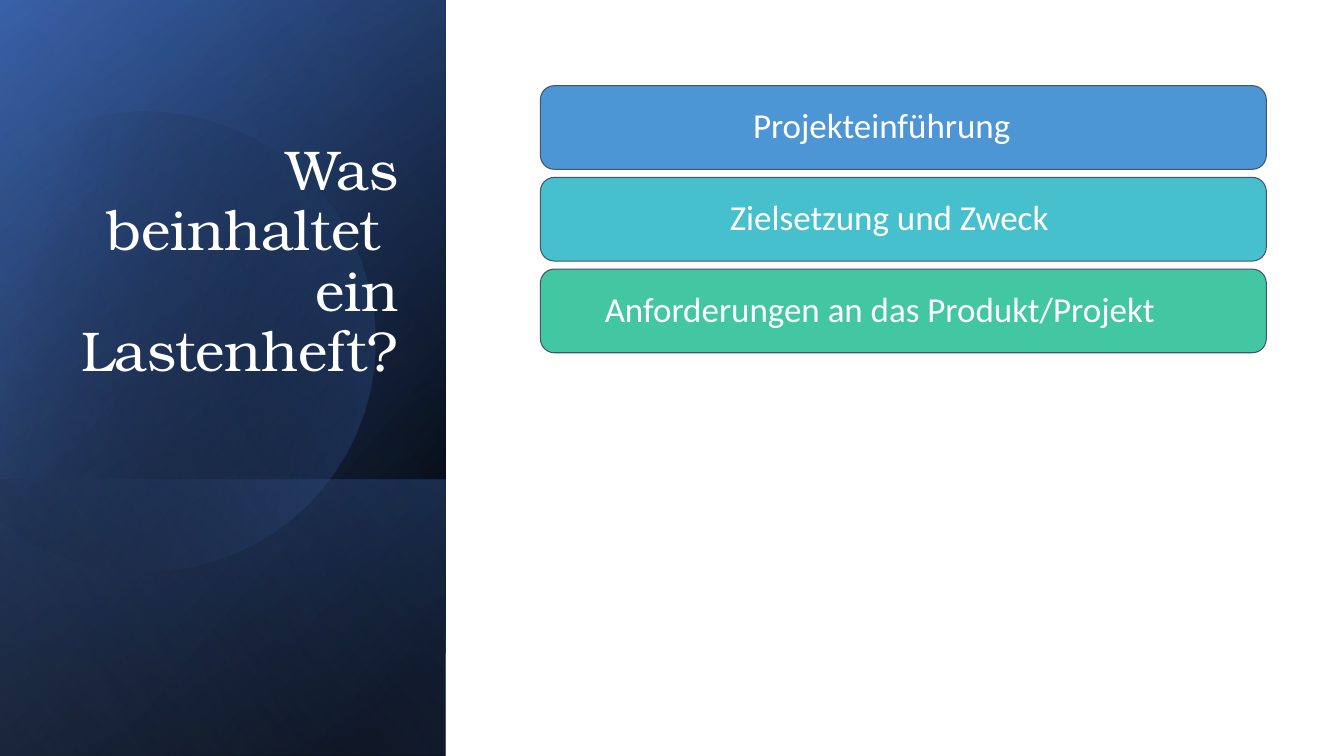
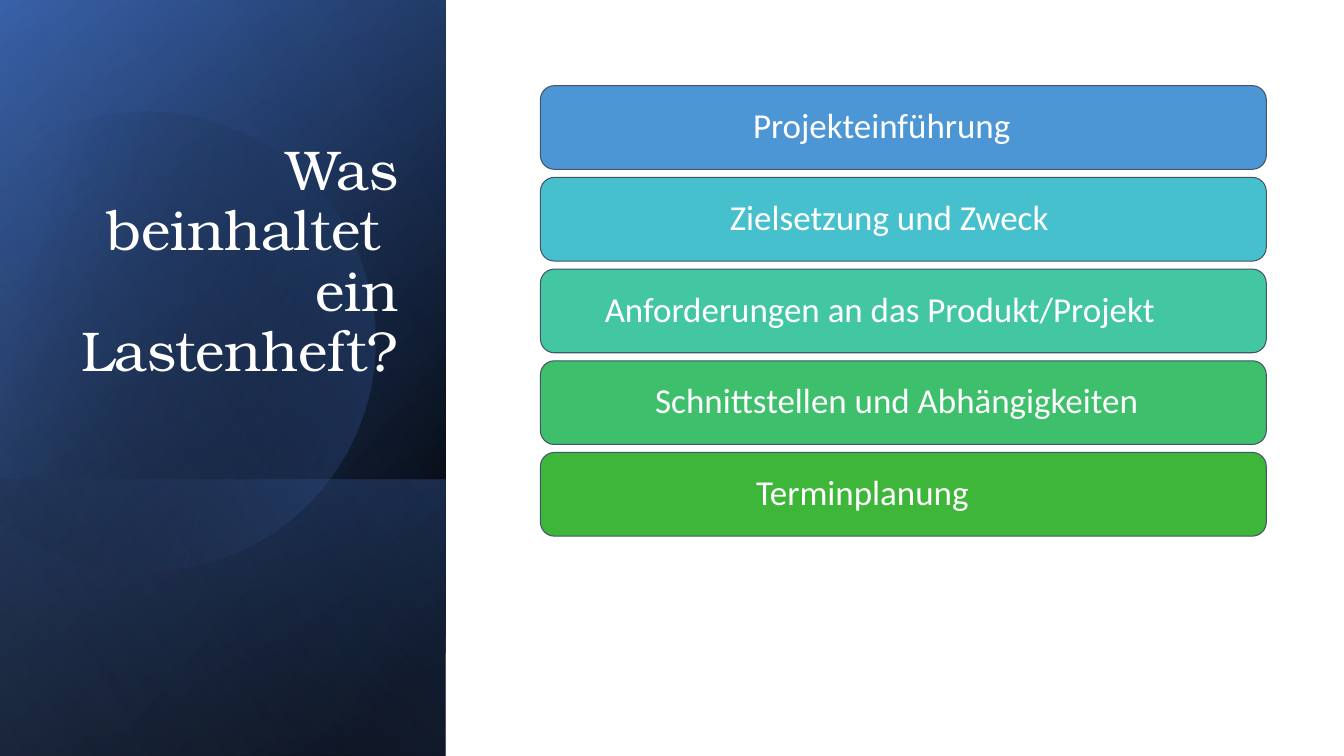
from collections import namedtuple
from math import cos, radians, sin

from lxml.etree import SubElement
from pptx import Presentation
from pptx.dml.color import RGBColor
from pptx.enum.shapes import MSO_SHAPE as Preset
from pptx.enum.text import MSO_ANCHOR as Anchor, MSO_AUTO_SIZE as AutoSize, PP_ALIGN as Align
from pptx.oxml.ns import qn
from pptx.util import Inches, Pt

WIDTH, HEIGHT = Inches(13.33), Inches(7.5)
COLUMN, ROW = WIDTH / 100, HEIGHT / 100

Box = namedtuple("Box", "left top width height")
Topic = namedtuple("Topic", "text fill margin indent")

WHITE, BLACK, BLUE, NAVY, SKY, SLATE = "FFFFFF", "000000", "4472C4", "2F5496", "8DA9DB", "44546A"
TITLE_FONT, TOPIC_FONT = "TeX Gyre Bonum", "Calibri"
TITLE_LINES = ["Was beinhaltet ", "ein Lastenheft?"]
TOPICS = [
    Topic("Projekteinführung", "4D96D5", 1.97, 0),
    Topic("Zielsetzung und Zweck", "47C0CE", 1.74, 0),
    Topic("Anforderungen an das Produkt/Projekt", "43C7A2", 0, 0.5),
    Topic("Schnittstellen und Abhängigkeiten", "3DBF6B", 0.5, 0.5),
    Topic("Terminplanung", "3DB639", 1.5, 0.5),
]

SIDEBAR = Box(0, 0, 33.16, 100)
SIDEBAR_FOOT = Box(0, 63.47, 33.16, 36.53)
TITLE = Box(4.8, 24.53, 25.58, 34.93)
TOPIC_LIST = Box(40.21, 11.33, 54.01, 59.6)
TOPIC_HEIGHT, TOPIC_PITCH = 11.07, 12.13

DISC_TURN, DISC_CENTER = 16.1, (35.7, 44.6)
DISC_START = (33.5, 14.7)
DISC_SEGMENTS = [
    [(55.7, 14.9), (75.8, 23.6), (82.1, 36.7)],
    [(90, 52.8), (74.2, 69.7), (46.8, 74.4)],
    [(29.6, 77.3), (12.2, 74.8), (-0.7, 68.5)],
    [(-3.4, 67.1)],
    [(-3.4, 23.2)],
    [(0, 21.5)],
    [(5.2, 18.9), (11.3, 17.1), (18.1, 15.9)],
    [(23.3, 15.1), (28.5, 14.7), DISC_START],
]


def rgb(code):
    """Turn a hex string into a colour."""
    return RGBColor.from_string(code)


def emu(box):
    """Turn a box on the grid into slide lengths."""
    return [round(share * unit) for share, unit in zip(box, (COLUMN, ROW) * 2)]


def fill_gradient(shape, stops, angle):
    """Fill a shape with (position, colour, opacity) stops, without outline."""
    shape.shadow.inherit = False
    shape.line.fill.background()
    shape.fill.gradient()
    gradient = shape.element.spPr.find(qn("a:gradFill"))
    for child in list(gradient):
        gradient.remove(child)
    gradient.set("rotWithShape", "1")
    stop_list = SubElement(gradient, qn("a:gsLst"))
    for position, code, opacity in stops:
        stop = SubElement(stop_list, qn("a:gs"), pos=str(position * 1000))
        color = SubElement(stop, qn("a:srgbClr"), val=code)
        if opacity < 100:
            SubElement(color, qn("a:alpha"), val=str(opacity * 1000))
    SubElement(gradient, qn("a:lin"), ang=str(angle * 60000), scaled="0")


def add_panel(slide, box, stops, angle):
    """Cover a box with a mirrored rectangle turned by a quarter."""
    left, top, width, height = emu(box)
    shift = (width - height) // 2
    panel = slide.shapes.add_shape(Preset.RECTANGLE, left + shift, top - shift, height, width)
    panel.rotation = 90
    panel.element.spPr.xfrm.set("flipH", "1")
    fill_gradient(panel, stops, angle)


def disc_outline(steps=16):
    """List the outline of the disc, with curves cut into short lines."""
    outline = [DISC_START]
    for segment in DISC_SEGMENTS:
        if len(segment) == 1:
            outline += segment
            continue
        corners = [outline[-1], *segment]
        for step in range(1, steps + 1):
            t = step / steps
            weights = ((1 - t) ** 3, 3 * t * (1 - t) ** 2, 3 * t * t * (1 - t), t ** 3)
            outline.append(tuple(sum(w * c[axis] for w, c in zip(weights, corners))
                                 for axis in (0, 1)))
    return outline


def add_disc(slide, box, stops, angle):
    """Draw the tilted, cut-off disc inside a box."""
    left, top, width, height = emu(box)
    turn = radians(DISC_TURN)

    def place(point):
        """Turn a point about the centre of the disc."""
        x, y = ((p - c) * size / 100 for p, c, size in zip(point, DISC_CENTER, (width, height)))
        return (left + DISC_CENTER[0] * width / 100 + x * cos(turn) - y * sin(turn),
                top + DISC_CENTER[1] * height / 100 + x * sin(turn) + y * cos(turn))

    start, *others = [place(point) for point in disc_outline()]
    builder = slide.shapes.build_freeform(*start)
    builder.add_line_segments(others, close=True)
    disc = builder.convert_to_shape()
    disc.rotation = -DISC_TURN
    fill_gradient(disc, stops, angle)


def add_sidebar(slide):
    """Layer the gradients of the dark sidebar."""
    add_panel(slide, SIDEBAR, [(0, BLACK, 100), (8, BLACK, 100), (100, NAVY, 100)], 50)
    add_panel(slide, SIDEBAR, [(0, BLACK, 0), (99, BLUE, 46), (100, BLUE, 46)], 30)
    add_panel(slide, SIDEBAR_FOOT, [(0, BLUE, 29), (2, BLUE, 29), (100, BLACK, 30)], 130)
    add_disc(slide, SIDEBAR, [(0, BLACK, 0), (29, BLACK, 0), (100, BLUE, 43)], 30)
    add_panel(slide, SIDEBAR, [(0, BLACK, 0), (99, SKY, 11), (100, SKY, 11)], 120)


def write(paragraph, text, font, size, align):
    """Write one white run into a paragraph."""
    paragraph.alignment = align
    paragraph.line_spacing = 0.9
    run = paragraph.add_run()
    run.text = text
    run.font.name, run.font.size = font, Pt(size)
    run.font.color.rgb = rgb(WHITE)


def set_title(slide, box):
    """Place the title over the sidebar."""
    title = slide.shapes.title
    slide.shapes.element.append(title.element)
    title.left, title.top, title.width, title.height = emu(box)
    frame = title.text_frame
    frame.auto_size, frame.word_wrap = AutoSize.NONE, True
    frame.vertical_anchor = Anchor.BOTTOM
    frame.margin_left = frame.margin_right = Inches(0.1)
    frame.margin_top, frame.margin_bottom = Inches(0.05), Inches(0.65)
    for number, line in enumerate(TITLE_LINES):
        paragraph = frame.add_paragraph() if number else frame.paragraphs[0]
        write(paragraph, line, TITLE_FONT, 40, Align.RIGHT)


def add_topic(slide, box, topic):
    """Add one coloured bar with its topic."""
    bar = slide.shapes.add_shape(Preset.FLOWCHART_ALTERNATE_PROCESS, *emu(box))
    bar.shadow.inherit = False
    bar.fill.solid()
    bar.fill.fore_color.rgb = rgb(topic.fill)
    bar.line.color.rgb = rgb(SLATE)
    bar.line.width = Pt(0.75)
    frame = bar.text_frame
    frame.word_wrap, frame.vertical_anchor = True, Anchor.MIDDLE
    frame.margin_left = frame.margin_right = Inches(0.1)
    frame.margin_top = frame.margin_bottom = Inches(0.1)
    paragraph = frame.paragraphs[0]
    write(paragraph, topic.text, TOPIC_FONT, 25, Align.LEFT)
    properties = paragraph._p.get_or_add_pPr()
    properties.set("marL", str(Inches(topic.margin)))
    properties.set("indent", str(Inches(topic.indent)))


def add_topics(slide, box, topics):
    """Stack the bars from the top of a box."""
    for row, topic in enumerate(topics):
        top = box.top + row * TOPIC_PITCH
        add_topic(slide, Box(box.left, top, box.width, TOPIC_HEIGHT), topic)


def add_content_slide(deck, topics):
    """Build a slide with sidebar, title and topics."""
    slide = deck.slides.add_slide(deck.slide_layouts[5])
    slide.background.fill.solid()
    slide.background.fill.fore_color.rgb = rgb(WHITE)
    add_sidebar(slide)
    set_title(slide, TITLE)
    add_topics(slide, TOPIC_LIST, topics)


def main():
    """Build and save the deck."""
    deck = Presentation()
    deck.slide_width, deck.slide_height = WIDTH, HEIGHT
    for count in (3, 5):
        add_content_slide(deck, TOPICS[:count])
    deck.save("out.pptx")


if __name__ == "__main__":
    main()
